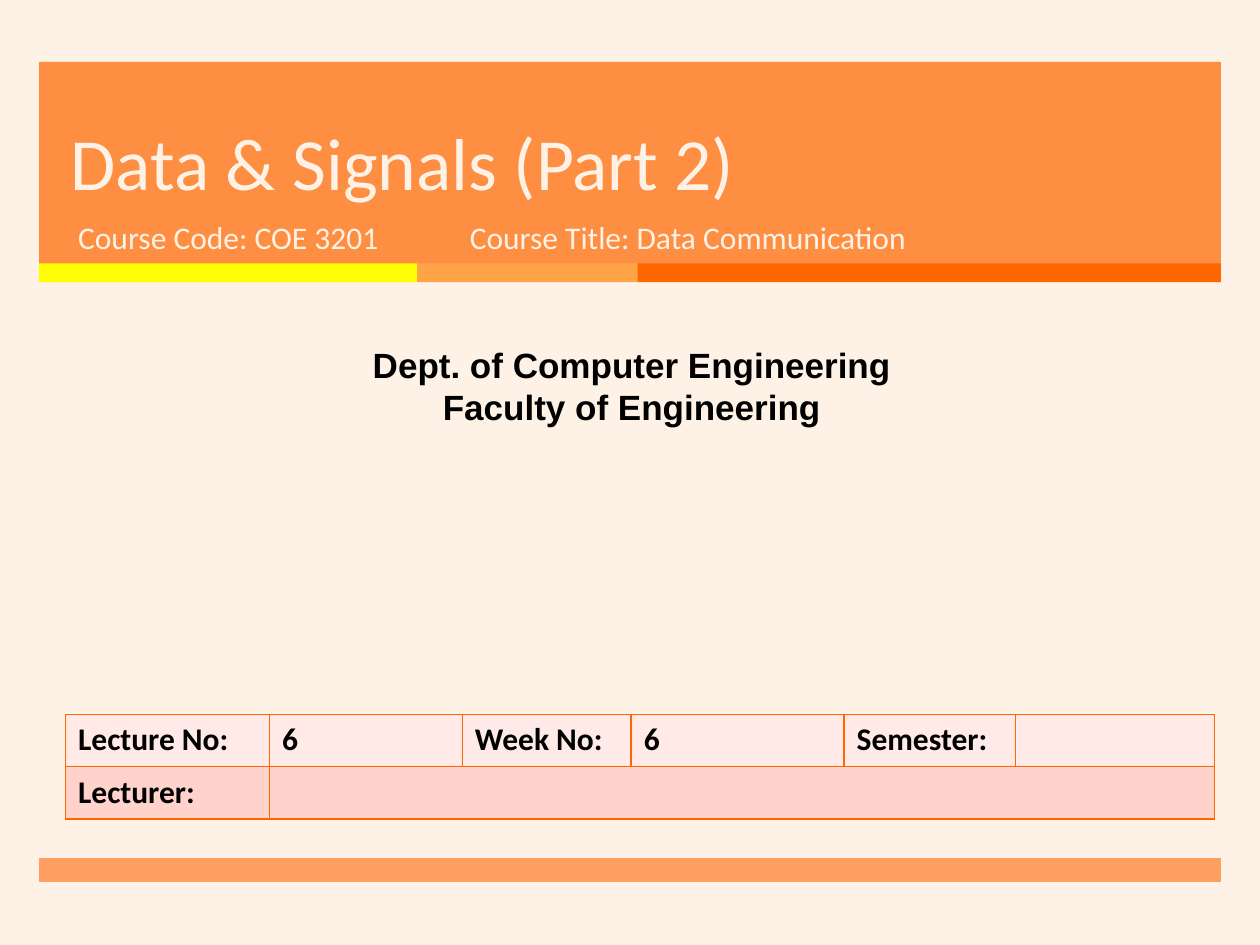
from dataclasses import dataclass

from lxml.etree import SubElement
from pptx import Presentation
from pptx.dml.color import RGBColor
from pptx.enum.shapes import MSO_SHAPE
from pptx.enum.text import MSO_ANCHOR, MSO_AUTO_SIZE, PP_ALIGN
from pptx.oxml.ns import qn
from pptx.util import Inches, Pt


@dataclass(frozen=True)
class Theme:
    cream: str = "FEF2E6"
    band: str = "FF7D26"
    yellow: str = "FFFF00"
    light_orange: str = "FFA347"
    orange: str = "FF6600"
    black: str = "000000"
    row_fills: tuple = ("FFEAE7", "FFD3CC")
    heading_font: str = "Calibri"
    department_font: str = "Arial"
    title_size: int = 42
    department_size: int = 20
    text_size: int = 18


def write_text(frame, text, *, font, size, color, bold=False,
               align=PP_ALIGN.LEFT, anchor=MSO_ANCHOR.TOP, line_spacing=None):
    """Fill a text frame, one paragraph for each line of text."""
    frame.word_wrap = True
    frame.vertical_anchor = anchor
    for index, line in enumerate(text.split("\n")):
        paragraph = frame.paragraphs[0] if index == 0 else frame.add_paragraph()
        paragraph.alignment = align
        paragraph.space_before = Pt(0)
        if line_spacing:
            paragraph.line_spacing = Pt(line_spacing)
        run = paragraph.add_run()
        run.text = line
        run.font.name = font
        run.font.size = Pt(size)
        run.font.bold = bold
        run.font.color.rgb = RGBColor.from_string(color)


class SlideBuilder:
    def __init__(self, slide, theme):
        self.slide = slide
        self.theme = theme

    def background(self, color):
        fill = self.slide.background.fill
        fill.solid()
        fill.fore_color.rgb = RGBColor.from_string(color)

    def bar(self, left, top, width, height, color, opacity=100):
        shape = self.slide.shapes.add_shape(
            MSO_SHAPE.RECTANGLE, Inches(left), Inches(top), Inches(width), Inches(height))
        shape.shadow.inherit = False
        shape.line.fill.background()
        shape.fill.solid()
        shape.fill.fore_color.rgb = RGBColor.from_string(color)
        if opacity < 100:
            color_element = shape.element.spPr.find(f"{qn('a:solidFill')}/{qn('a:srgbClr')}")
            SubElement(color_element, qn("a:alpha"), val=str(opacity * 1000))

    def placeholder(self, index, text, left, top, width, height, **text_format):
        shape = self.slide.placeholders[index]
        shape.left, shape.top = Inches(left), Inches(top)
        shape.width, shape.height = Inches(width), Inches(height)
        # Bring the placeholder in front of the bars
        self.slide.shapes.element.append(shape.element)
        shape.text_frame.auto_size = MSO_AUTO_SIZE.NONE
        write_text(shape.text_frame, text, **text_format)

    def text_box(self, text, left, top, width, height, **text_format):
        shape = self.slide.shapes.add_textbox(
            Inches(left), Inches(top), Inches(width), Inches(height))
        write_text(shape.text_frame, text, **text_format)

    def cell_border(self, cell, color, width):
        properties = cell._tc.get_or_add_tcPr()
        for side in ("a:lnL", "a:lnR", "a:lnT", "a:lnB"):
            line = SubElement(properties, qn(side), w=str(Pt(width)))
            SubElement(SubElement(line, qn("a:solidFill")), qn("a:srgbClr"), val=color)

    def table(self, rows, left, top, column_widths, row_height, **text_format):
        table = self.slide.shapes.add_table(
            len(rows), len(column_widths), Inches(left), Inches(top),
            Inches(sum(column_widths)), Inches(row_height * len(rows))).table
        for column, width in zip(table.columns, column_widths):
            column.width = Inches(width)
        for row_index, texts in enumerate(rows):
            table.rows[row_index].height = Inches(row_height)
            for column_index in range(len(column_widths)):
                cell = table.cell(row_index, column_index)
                self.cell_border(cell, self.theme.orange, 1)
                cell.fill.solid()
                cell.fill.fore_color.rgb = RGBColor.from_string(self.theme.row_fills[row_index])
                if column_index < len(texts) and texts[column_index]:
                    write_text(cell.text_frame, texts[column_index], **text_format)
        return table


def main():
    presentation = Presentation()
    presentation.slide_width, presentation.slide_height = Inches(10), Inches(7.5)
    slide = presentation.slides.add_slide(presentation.slide_layouts[0])
    theme = Theme()
    builder = SlideBuilder(slide, theme)
    builder.background(theme.cream)

    # Header band, three-colour stripe and footer bar
    margin, band_width = 0.31, 9.38
    builder.bar(margin, 0.49, band_width, 1.61, theme.band, opacity=85)
    stripe_left = margin
    for width, color in ((3, theme.yellow), (1.75, theme.light_orange), (4.63, theme.orange)):
        builder.bar(stripe_left, 2.09, width, 0.15, color)
        stripe_left += width
    builder.bar(margin, 6.81, band_width, 0.19, theme.band, opacity=70)

    # Title and course details
    heading = {"font": theme.heading_font, "color": theme.cream}
    builder.placeholder(0, "Data & Signals (Part 2)", 0.46, 0.49, 8.54, 1.19,
                        size=theme.title_size, anchor=MSO_ANCHOR.BOTTOM,
                        line_spacing=46, **heading)
    builder.placeholder(1, "Course Code: COE 3201", 0.52, 1.68, 3.05, 0.53,
                        size=theme.text_size, **heading)
    builder.text_box("Course Title: Data Communication", 3.63, 1.68, 4.55, 0.53,
                     size=theme.text_size, **heading)

    # Department
    builder.text_box("Dept. of Computer Engineering\nFaculty of Engineering",
                     0.08, 2.68, 9.87, 0.77, font=theme.department_font,
                     size=theme.department_size, color=theme.black, bold=True,
                     align=PP_ALIGN.CENTER)

    # Lecture details
    lecture_rows = (("Lecture No:", "6", "Week No:", "6", "Semester:"), ("Lecturer:",))
    table = builder.table(lecture_rows, 0.52, 5.67, (1.62, 1.53, 1.34, 1.69, 1.36, 1.58), 0.415,
                          font=theme.heading_font, size=theme.text_size,
                          color=theme.black, bold=True)
    table.cell(1, 1).merge(table.cell(1, 5))

    presentation.save("out.pptx")


if __name__ == "__main__":
    main()
